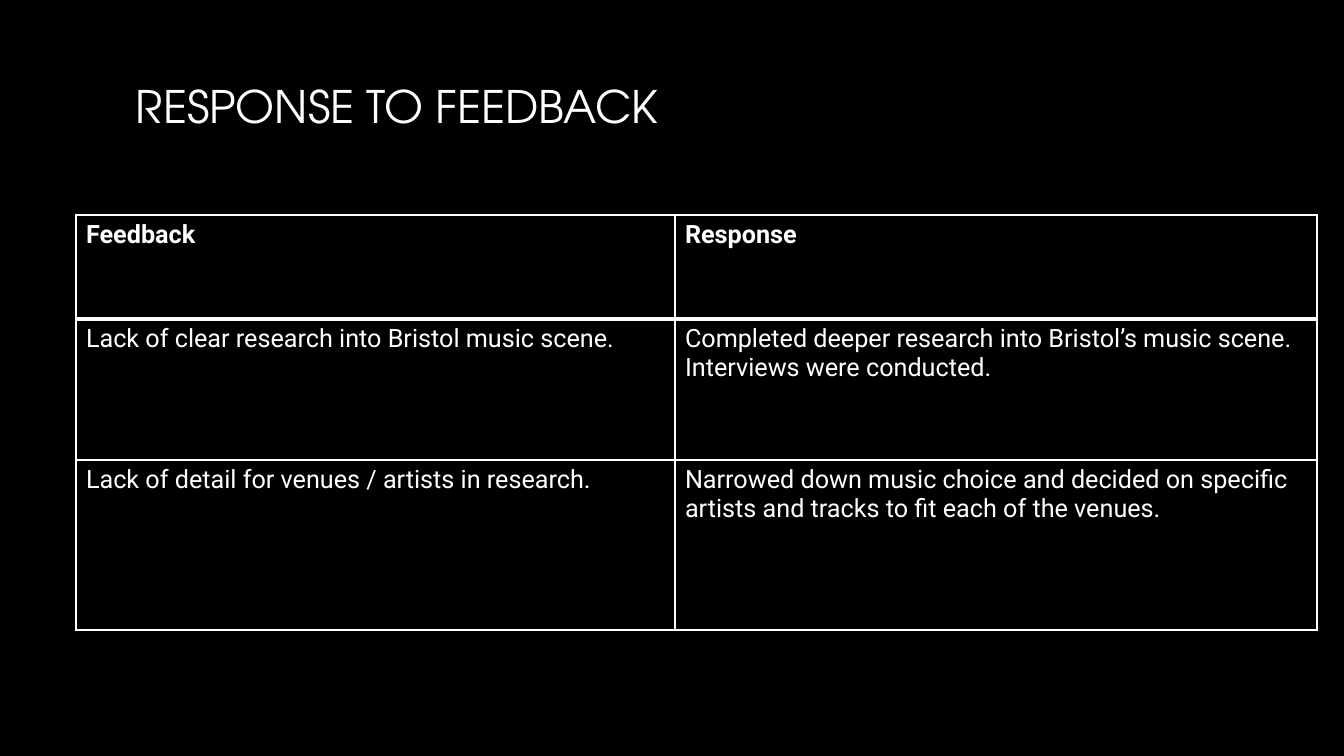
from dataclasses import dataclass

from lxml import etree
from pptx import Presentation
from pptx.dml.color import RGBColor
from pptx.enum.text import MSO_ANCHOR
from pptx.oxml.ns import qn
from pptx.util import Emu, Pt

MIDDLE = MSO_ANCHOR.MIDDLE

TITLE = "RESPONSE TO FEEDBACK"
# Each cell is a list of paragraphs.
FEEDBACK_ROWS = [
    (["Feedback"], ["Response"]),
    (["Lack of clear research into Bristol music scene."],
     ["Completed deeper research into Bristol’s music scene. Interviews were conducted."]),
    (["Lack of detail for venues / artists in research."],
     ["Narrowed down music choice and decided on specific",
      "artists and tracks to fit each of the venues."]),
]

SLIDE_SIZE = (1344, 756)
TITLE_BOX = (126, 68, 1092, 75)
TABLE_ORIGIN = (76, 215)
COLUMN_WIDTHS = (599, 642)
ROW_HEIGHTS = (104, 141, 170)
EMU_PER_PX = 12192000 / 1344


@dataclass(frozen=True)
class Theme:
    background: str = "000000"
    text: str = "FFFFFF"
    title_fade: str = "A6A6A6"
    title_angle: int = 267
    cell_opacity: int = 30
    title_font: str = "TeX Gyre Adventor"
    body_font: str = "Roboto"
    title_size: int = 32
    body_size: int = 18
    thin_rule: int = 1
    header_rule: int = 3


THEME = Theme()


def px(length):
    return Emu(round(length * EMU_PER_PX))


def rgb(color):
    return RGBColor.from_string(color)


def add_run(paragraph, text, font_name, size, bold=False):
    run = paragraph.add_run()
    run.text = text
    run.font.name = font_name
    run.font.size = Pt(size)
    run.font.bold = bold
    return run


def add_title(slide):
    frame = slide.shapes.add_textbox(*map(px, TITLE_BOX)).text_frame
    frame.word_wrap = True
    frame.vertical_anchor = MIDDLE
    run = add_run(frame.paragraphs[0], TITLE, THEME.title_font, THEME.title_size)
    fill = run.font.fill
    fill.gradient()
    fill.gradient_angle = THEME.title_angle
    for stop, color in zip(fill.gradient_stops, (THEME.text, THEME.title_fade)):
        stop.color.rgb = rgb(color)


def add_border(cell_properties, side, width):
    line = etree.SubElement(cell_properties, qn(f"a:ln{side}"), w=str(Pt(width)))
    solid = etree.SubElement(line, qn("a:solidFill"))
    etree.SubElement(solid, qn("a:srgbClr"), val=THEME.text)


def style_cell(cell, row_index):
    """Draw the borders, then the translucent fill, in schema order."""
    properties = cell._tc.get_or_add_tcPr()
    top = THEME.header_rule if row_index == 1 else THEME.thin_rule
    bottom = THEME.header_rule if row_index == 0 else THEME.thin_rule
    for side, width in (("L", THEME.thin_rule), ("R", THEME.thin_rule),
                        ("T", top), ("B", bottom)):
        add_border(properties, side, width)
    cell.fill.solid()
    cell.fill.fore_color.rgb = rgb(THEME.background)
    color = properties.find(qn("a:solidFill")).find(qn("a:srgbClr"))
    etree.SubElement(color, qn("a:alpha"), val=str(THEME.cell_opacity * 1000))


def write_cell(cell, paragraphs, bold):
    frame = cell.text_frame
    for index, text in enumerate(paragraphs):
        paragraph = frame.add_paragraph() if index else frame.paragraphs[0]
        run = add_run(paragraph, text, THEME.body_font, THEME.body_size, bold)
        run.font.color.rgb = rgb(THEME.text)


def add_feedback_table(slide):
    table = slide.shapes.add_table(
        len(ROW_HEIGHTS), len(COLUMN_WIDTHS), *map(px, TABLE_ORIGIN),
        px(sum(COLUMN_WIDTHS)), px(sum(ROW_HEIGHTS))).table
    table.horz_banding = False
    for column, width in zip(table.columns, COLUMN_WIDTHS):
        column.width = px(width)
    for row, height in zip(table.rows, ROW_HEIGHTS):
        row.height = px(height)
    for row_index, entries in enumerate(FEEDBACK_ROWS):
        for column_index, paragraphs in enumerate(entries):
            cell = table.cell(row_index, column_index)
            style_cell(cell, row_index)
            write_cell(cell, paragraphs, bold=row_index == 0)


def main():
    deck = Presentation()
    deck.slide_width, deck.slide_height = map(px, SLIDE_SIZE)
    slide = deck.slides.add_slide(deck.slide_layouts[6])
    slide.background.fill.solid()
    slide.background.fill.fore_color.rgb = rgb(THEME.background)
    add_title(slide)
    add_feedback_table(slide)
    deck.save("out.pptx")


if __name__ == "__main__":
    main()
